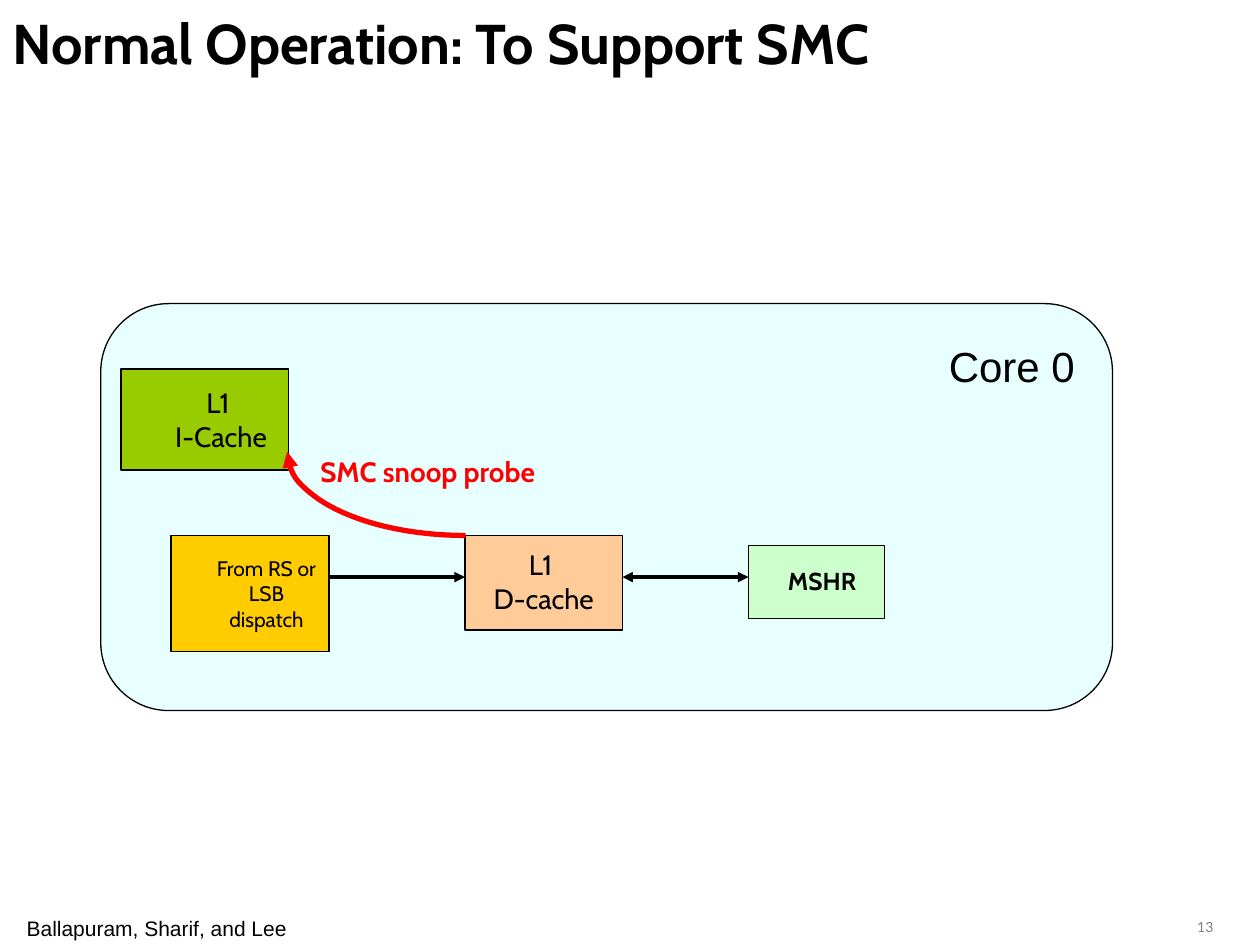
from lxml.etree import SubElement
from pptx import Presentation
from pptx.dml.color import RGBColor
from pptx.enum.shapes import MSO_CONNECTOR, MSO_SHAPE
from pptx.enum.text import MSO_ANCHOR, MSO_AUTO_SIZE, PP_ALIGN
from pptx.oxml.ns import qn
from pptx.util import Inches, Pt

BLACK = RGBColor(0x00, 0x00, 0x00)
GRAY = RGBColor(0x80, 0x80, 0x80)
RED = RGBColor(0xFF, 0x00, 0x00)
CYAN = RGBColor(0xCC, 0xFF, 0xFF)
GREEN = RGBColor(0x99, 0xCC, 0x00)
YELLOW = RGBColor(0xFF, 0xCC, 0x00)
PEACH = RGBColor(0xFF, 0xCC, 0x99)
MINT = RGBColor(0xCC, 0xFF, 0xCC)

ARROW_Y = 4.58
LABEL_INDENT = 0.26


def write_text(shape, lines, size, font="Cabin", color=BLACK, bold=False,
               align=PP_ALIGN.CENTER, indent=0, anchor=MSO_ANCHOR.TOP, wrap=True):
    frame = shape.text_frame
    frame.text = "\n".join(lines)
    frame.word_wrap = wrap
    frame.auto_size = MSO_AUTO_SIZE.NONE
    frame.vertical_anchor = anchor
    for paragraph in frame.paragraphs:
        paragraph.alignment = align
        if indent:
            properties = paragraph._p.get_or_add_pPr()
            properties.set("marL", str(Inches(indent)))
            properties.set("indent", "0")
        paragraph.font.name = font
        paragraph.font.size = Pt(size)
        paragraph.font.bold = bold
        paragraph.font.color.rgb = color


def add_label(slide, bounds, lines, size, **style):
    box = slide.shapes.add_textbox(*map(Inches, bounds))
    write_text(box, lines, size, **style)
    return box


def add_box(slide, bounds, fill, line_width=1, kind=MSO_SHAPE.RECTANGLE):
    shape = slide.shapes.add_shape(kind, *map(Inches, bounds))
    shape.shadow.inherit = False
    shape.fill.solid()
    shape.fill.fore_color.rgb = fill
    shape.line.color.rgb = BLACK
    shape.line.width = Pt(line_width)
    return shape


def set_arrowheads(shape, ends):
    line = shape.line._get_or_add_ln()
    for end in ends:
        SubElement(line, qn(f"a:{end}"), type="triangle")


def add_arrow(slide, start, stop, ends):
    arrow = slide.shapes.add_connector(
        MSO_CONNECTOR.STRAIGHT,
        Inches(start), Inches(ARROW_Y), Inches(stop), Inches(ARROW_Y))
    arrow.line.color.rgb = BLACK
    arrow.line.width = Pt(2)
    set_arrowheads(arrow, ends)
    SubElement(arrow._element.spPr, qn("a:effectLst"))


def add_curved_arrow(slide, bounds):
    curve = slide.shapes.add_shape(MSO_SHAPE.ARC, *map(Inches, bounds))
    curve.adjustments[0] = 54
    curve.adjustments[1] = 108
    curve.shadow.inherit = False
    curve.fill.background()
    curve.line.color.rgb = RED
    curve.line.width = Pt(3)
    set_arrowheads(curve, ["tailEnd"])


def add_core(slide):
    core = add_box(slide, (0.8, 2.41, 8.03, 3.23), CYAN, 0.75,
                   MSO_SHAPE.ROUNDED_RECTANGLE)
    core.adjustments[0] = 0.167
    color = core._element.spPr.find(f"{qn('a:solidFill')}/{qn('a:srgbClr')}")
    SubElement(color, qn("a:alpha"), val="47000")


def set_title(slide, text):
    title = slide.shapes.title
    title.left, title.top = Inches(0), Inches(0)
    title.width, title.height = Inches(9.5), Inches(0.67)
    write_text(title, [text], 32, bold=True, align=PP_ALIGN.LEFT,
               anchor=MSO_ANCHOR.MIDDLE)


def add_footer(slide):
    authors = add_label(slide, (0.21, 7.27, 2.07, 0.2),
                        ["Ballapuram, Sharif, and Lee"], 12,
                        font="Arial", wrap=False)
    frame = authors.text_frame
    frame.margin_left = frame.margin_right = 0
    frame.margin_top = frame.margin_bottom = 0
    add_label(slide, (9.07, 7.24, 0.66, 0.17), ["13"], 8, font="Lato",
              color=GRAY, align=PP_ALIGN.RIGHT)


def main():
    presentation = Presentation()
    presentation.slide_width = Inches(10)
    presentation.slide_height = Inches(7.5)
    slide = presentation.slides.add_slide(presentation.slide_layouts[5])

    set_title(slide, "Normal Operation: To Support SMC")
    add_core(slide)

    instruction_cache = add_box(slide, (0.96, 2.93, 1.33, 0.8), GREEN)
    write_text(instruction_cache, ["L1 ", "I-Cache"], 16,
               indent=LABEL_INDENT, anchor=MSO_ANCHOR.MIDDLE)
    dispatch = add_box(slide, (1.36, 4.25, 1.25, 0.92), YELLOW)
    write_text(dispatch, ["From RS or LSB", "dispatch"], 12,
               indent=LABEL_INDENT, anchor=MSO_ANCHOR.MIDDLE)
    add_box(slide, (3.69, 4.25, 1.25, 0.75), PEACH)
    add_box(slide, (5.94, 4.33, 1.08, 0.58), MINT)

    add_arrow(slide, 2.61, 3.69, ["tailEnd"])
    add_arrow(slide, 4.94, 5.94, ["headEnd", "tailEnd"])
    add_curved_arrow(slide, (2.28, 2.92, 2.83, 1.33))

    add_label(slide, (2.08, 3.56, 2.37, 0.37), ["SMC snoop probe"], 16,
              color=RED, bold=True, indent=LABEL_INDENT, wrap=False)
    add_label(slide, (3.54, 4.3, 1.29, 0.63), ["L1 ", "D-cache"], 16,
              indent=LABEL_INDENT, wrap=False)
    add_label(slide, (5.88, 4.44, 1.03, 0.33), ["MSHR"], 14,
              bold=True, indent=LABEL_INDENT, wrap=False)
    add_label(slide, (6.94, 2.65, 1.92, 0.5), ["Core 0"], 24,
              font="Arial", indent=LABEL_INDENT)
    add_footer(slide)

    presentation.save("out.pptx")


if __name__ == "__main__":
    main()
